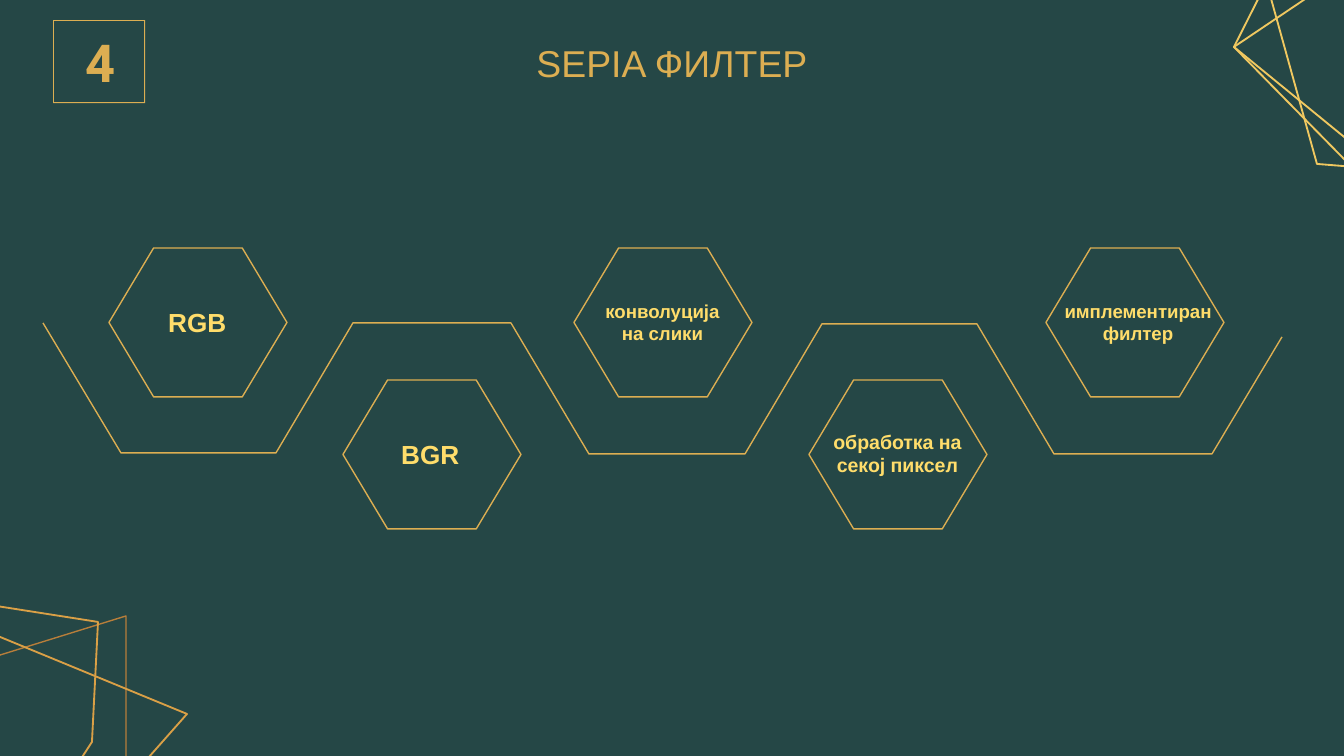
from pptx import Presentation
from pptx.dml.color import RGBColor
from pptx.enum.shapes import MSO_SHAPE as SHAPE
from pptx.enum.text import MSO_ANCHOR as ANCHOR, PP_ALIGN as ALIGN
from pptx.util import Emu, Inches, Pt

PX = 914400 / 134.4
GREEN = RGBColor(0x25, 0x47, 0x46)
GOLD = RGBColor(0xDC, 0xAE, 0x52)
YELLOW = RGBColor(0xFF, 0xDD, 0x6B)
LIGHT_GOLD = RGBColor(0xF0, 0xC8, 0x60)
AMBER = RGBColor(0xDA, 0xA0, 0x46)
BRONZE = RGBColor(0xB8, 0x7E, 0x3A)


def box(*lengths):
    """Turn px lengths into EMU."""
    return [Emu(round(n * PX)) for n in lengths]


def outline(sp, color, width):
    sp.shadow.inherit = False
    sp.fill.background()
    sp.line.color.rgb = color
    sp.line.width = Pt(width)


prs = Presentation()
prs.slide_width, prs.slide_height = box(1344, 756)
s = prs.slides.add_slide(prs.slide_layouts[5])
s.background.fill.solid()
s.background.fill.fore_color.rgb = GREEN

# Corner ornaments bleed over the edges; the open zigzag runs between the hexagons
polylines = [
    (BRONZE, 0.75, True, [(-205, 1208), (-438, 791), (126, 616), (126, 864)]),
    (LIGHT_GOLD, 1, True, [(1255, -59), (1400, -130), (1582, 30), (1625, 149),
                           (1554, 183), (1317, 164)]),
    (LIGHT_GOLD, 1, True, [(1234, 47), (1288, -60), (1614, 29), (1635, 230),
                           (1349, 164)]),
    (LIGHT_GOLD, 1, True, [(1234, 47), (1491, -126), (1635, 230), (1474, 243)]),
    (AMBER, 1, True, [(-449, 965), (-439, 717), (-93, 592), (98, 622),
                      (92, 742), (-105, 1045)]),
    (AMBER, 1, True, [(-350, 1118), (-454, 969), (-97, 597), (187, 714),
                      (-109, 1049)]),
    (GOLD, 0.75, False, [(43, 323), (121, 453), (276, 453), (353, 323),
                         (511, 323), (589, 454), (745, 454), (822, 324),
                         (977, 324), (1054, 454), (1212, 454), (1282, 337)]),
]
for color, width, closed, points in polylines:
    ff = s.shapes.build_freeform(*points[0], scale=PX)
    ff.add_line_segments(points[1:], close=closed)
    outline(ff.convert_to_shape(), color, width)

# Hexagons, alternately high and low
for i, x in enumerate([109, 343, 574, 809, 1046]):
    sp = s.shapes.add_shape(SHAPE.HEXAGON, *box(x, 380 if i % 2 else 248, 178, 149))
    sp.adjustments[0] = 0.3
    outline(sp, GOLD, 0.75)

frame = s.shapes.add_shape(SHAPE.FRAME, *box(53, 20, 92, 83))
frame.adjustments[0] = 0.01
frame.shadow.inherit = False
frame.fill.solid()
frame.fill.fore_color.rgb = GOLD
frame.line.fill.background()

title = s.shapes.title
title.left, title.top, title.width, title.height = box(228, 12, 888, 102)
tf = title.text_frame
tf.vertical_anchor = ANCHOR.MIDDLE
tf.margin_left = tf.margin_right = tf.margin_top = tf.margin_bottom = Inches(0.1)
p = tf.paragraphs[0]
p.alignment = ALIGN.CENTER
r = p.add_run()
r.text = "SEPIA ФИЛТЕР"
r.font.name, r.font.size = "Arial", Pt(20)
r.font.color.rgb = GOLD

labels = [
    ("4", (72, 24, 55, 77), "Roboto", 28, GOLD, ALIGN.CENTER),
    ("RGB", (155, 300, 85, 46), "Arial", 14, YELLOW, ALIGN.LEFT),
    ("BGR", (388, 432, 87, 46), "Arial", 14, YELLOW, ALIGN.LEFT),
    ("конволуција на слики", (589, 293, 147, 59), "Arial", 10, YELLOW, ALIGN.CENTER),
    ("обработка на секој пиксел", (817, 423, 161, 60), "Arial", 10.5, YELLOW, ALIGN.CENTER),
    ("имплементиран филтер", (1047, 293, 182, 60), "Arial", 10, YELLOW, ALIGN.CENTER),
]
for text, place, font, size, color, align in labels:
    tf = s.shapes.add_textbox(*box(*place)).text_frame
    tf.word_wrap = text != "4"
    p = tf.paragraphs[0]
    p.alignment = align
    r = p.add_run()
    r.text = text
    r.font.name, r.font.size, r.font.bold = font, Pt(size), True
    r.font.color.rgb = color

prs.save("out.pptx")
